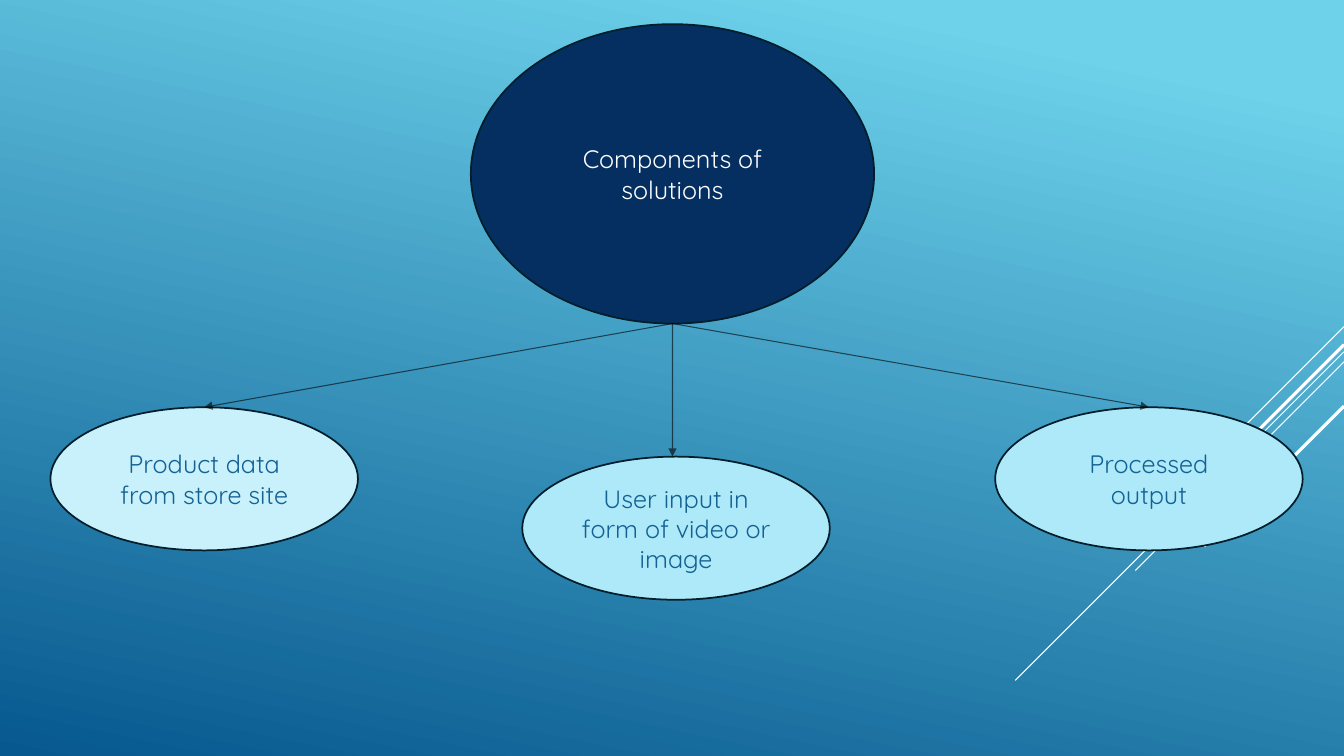
from lxml import etree
from pptx import Presentation
from pptx.dml.color import RGBColor
from pptx.enum.shapes import MSO_CONNECTOR, MSO_SHAPE
from pptx.enum.text import MSO_ANCHOR, PP_ALIGN
from pptx.oxml.ns import qn
from pptx.util import Inches, Pt

OVAL = MSO_SHAPE.OVAL
STRAIGHT = MSO_CONNECTOR.STRAIGHT
MIDDLE = MSO_ANCHOR.MIDDLE
CENTER = PP_ALIGN.CENTER

SKY = RGBColor(0x6E, 0xD2, 0xEB)
DEEP = RGBColor(0x06, 0x58, 0x8E)
NAVY = RGBColor(0x05, 0x2F, 0x61)
PALE = RGBColor(0xC8, 0xF1, 0xFB)
AQUA = RGBColor(0xAD, 0xE9, 0xF8)
EDGE = RGBColor(0x02, 0x1E, 0x2B)
BLUE = RGBColor(0x14, 0x61, 0x94)
WHITE = RGBColor(0xFF, 0xFF, 0xFF)
BLACK = RGBColor(0, 0, 0)

FONT = "Quicksand"
RIGHT = 13.33
HUB = (4.67, 0.24, 4, 2.97)
STEM = (6.67, 3.21)
STREAKS = [
    (3.24, 1.0, 0.75),
    (3.49, 3.26, 0.75),
    (3.59, 2.07, 0.75),
    (3.42, 1.91, 2.25),
    (4.03, 1.39, 2.25),
]
PARTS = [
    ("Product data from store site", 0.5, 4.04, PALE),
    ("User input in form of video or image", 5.18, 4.53, AQUA),
    ("Processed output", 9.87, 4.04, AQUA),
]


def paint_back(slide):
    fill = slide.background.fill
    fill.gradient()
    fill.gradient_angle = 258
    for stop, color, place in zip(fill.gradient_stops, (SKY, DEEP), (0.1, 1)):
        stop.color.rgb = color
        stop.position = place


def put_text(shape, text, size=18, color=BLUE, font=FONT, align=CENTER):
    frame = shape.text_frame
    frame.word_wrap = True
    frame.vertical_anchor = MIDDLE
    para = frame.paragraphs[0]
    para.alignment = align
    run = para.add_run()
    run.text = text
    run.font.size = Pt(size)
    run.font.name = font
    run.font.color.rgb = color


def add_oval(slide, text, box, fill, color=BLUE):
    oval = slide.shapes.add_shape(OVAL, *map(Inches, box))
    oval.shadow.inherit = False
    oval.fill.solid()
    oval.fill.fore_color.rgb = fill
    oval.line.color.rgb = EDGE
    oval.line.width = Pt(1.25)
    put_text(oval, text, color=color)
    return oval


def add_line(slide, start, end, color, width):
    line = slide.shapes.add_connector(STRAIGHT, *map(Inches, start + end))
    line.line.color.rgb = color
    line.line.width = Pt(width)
    etree.SubElement(line._element.spPr, qn("a:effectLst"))
    return line


def add_arrow(slide, end, width):
    arrow = add_line(slide, STEM, end, BLACK, width)
    stroke = arrow.line._get_or_add_ln()
    tint = stroke.find(".//" + qn("a:srgbClr"))
    etree.SubElement(tint, qn("a:alpha"), val="60000")
    etree.SubElement(stroke, qn("a:tailEnd"), type="triangle")
    return arrow


def main():
    deck = Presentation()
    deck.slide_width = Inches(RIGHT)
    deck.slide_height = Inches(7.5)
    slide = deck.slides.add_slide(deck.slide_layouts[6])
    paint_back(slide)

    for top, reach, width in STREAKS:
        add_line(slide, (RIGHT, top), (RIGHT - reach, top + reach), WHITE, width)

    add_oval(slide, "Components of solutions", HUB, NAVY, color=WHITE)
    left, mid, right = [
        add_oval(slide, text, (x, y, 3.05, 1.42), fill)
        for text, x, y, fill in PARTS
    ]

    add_arrow(slide, (STEM[0], mid.top / Inches(1)), 1)
    for part in (left, right):
        add_arrow(slide, STEM, 0.75).end_connect(part, 0)

    deck.save("out.pptx")


if __name__ == "__main__":
    main()
